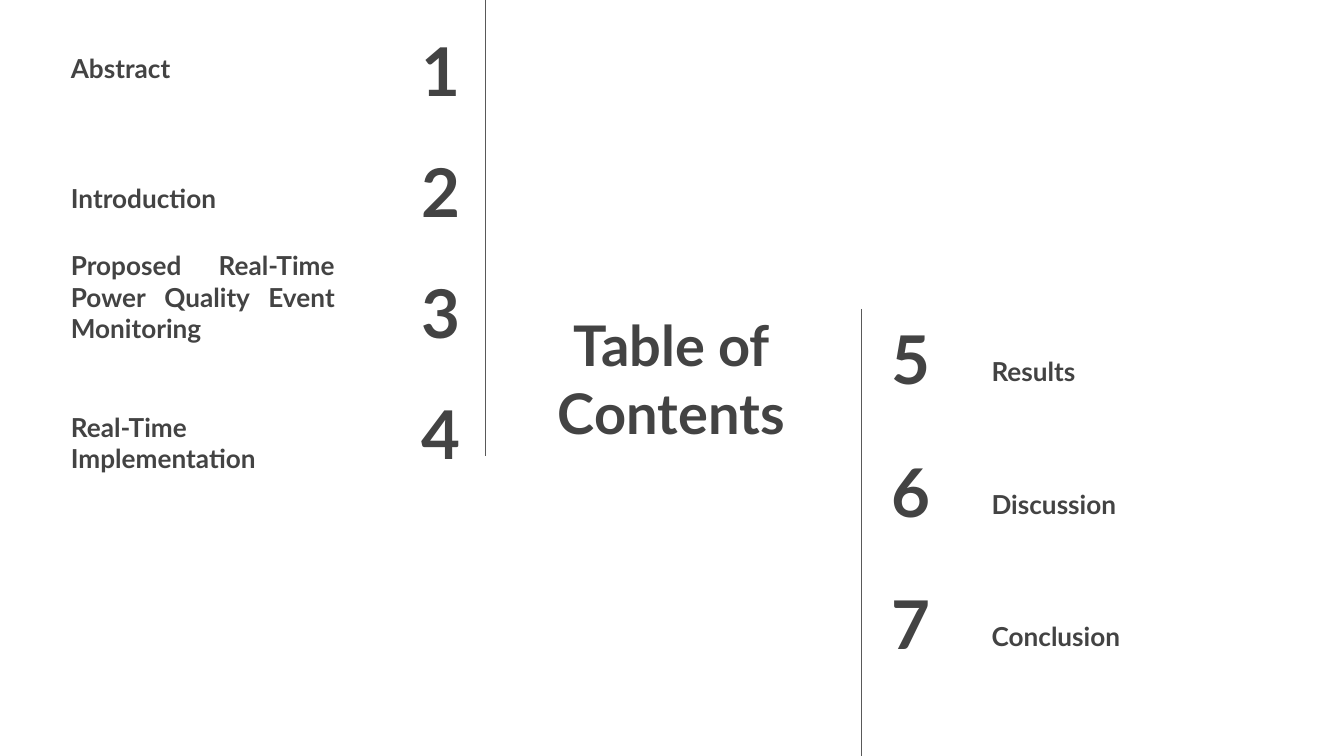
"""Build a table of contents slide with two numbered columns."""
from lxml import etree
from pptx import Presentation
from pptx import util as u
from pptx.dml.color import RGBColor
from pptx.enum import shapes, text
from pptx.oxml import ns

DARK = RGBColor(0x43, 0x43, 0x43)
GREY = RGBColor(0x59, 0x59, 0x59)
WIDTH, HEIGHT = 25.4, 14.29
ALIGN, ANCHOR = text.PP_ALIGN, text.MSO_ANCHOR


def write(tf, words, size=14, align=ALIGN.LEFT, anchor=ANCHOR.BOTTOM, font="Lato", color=DARK):
    tf.word_wrap = True
    tf.vertical_anchor = anchor
    tf.margin_left = tf.margin_right = tf.margin_top = tf.margin_bottom = u.Cm(0.25)
    p = tf.paragraphs[0]
    p.alignment = align
    r = p.add_run()
    r.text = words
    r.font.name = font
    r.font.size = u.Pt(size)
    r.font.bold = True
    r.font.color.rgb = color


class Deck:
    def __init__(self, s):
        self.s = s
        self.line_color = GREY
        self.line_width = u.Pt(0.75)

    def box(self, words, x, y, w, h, **style):
        sp = self.s.shapes.add_textbox(u.Cm(x), u.Cm(y), u.Cm(w), u.Cm(h))
        write(sp.text_frame, words, **style)

    def title(self, words, x, y, w, h):
        self.box(words, x, y, w, h, size=30, align=ALIGN.CENTER, anchor=ANCHOR.MIDDLE)

    def number(self, n, x, y, w, align):
        self.box(str(n), x, y, w, 1.6, size=36, align=align, anchor=ANCHOR.MIDDLE)

    def label(self, words, x, y, align=ALIGN.LEFT):
        self.box(words, x, y, 5.49, 1.6, align=align)

    def rule(self, x, top, bottom):
        sp = self.s.shapes.add_connector(
            shapes.MSO_CONNECTOR.STRAIGHT, u.Cm(x), u.Cm(top), u.Cm(x), u.Cm(bottom))
        sp.line.color.rgb = self.line_color
        sp.line.width = self.line_width
        etree.SubElement(sp._element.spPr, ns.qn("a:effectLst"))


def main():
    prs = Presentation()
    prs.slide_width, prs.slide_height = u.Cm(WIDTH), u.Cm(HEIGHT)
    deck = Deck(prs.slides.add_slide(prs.slide_layouts[6]))

    left = [
        ("Abstract", ALIGN.LEFT),
        ("Introduction", ALIGN.LEFT),
        ("Proposed Real‑Time Power Quality Event Monitoring", ALIGN.JUSTIFY),
        ("Real‑Time Implementation", ALIGN.LEFT),
    ]
    for i, (words, align) in enumerate(left):
        deck.label(words, 1.09, 0.23 + 2.46 * i, align)
        deck.number(i + 1, 5.89, 0.51 + 2.29 * i, 3.07, ALIGN.RIGHT)

    for i, words in enumerate(["Results", "Discussion", "Conclusion"]):
        y = 5.97 + 2.5 * i
        deck.number(len(left) + i + 1, 16.59, y, 2.97, ALIGN.LEFT)
        deck.label(words, 18.49, y)

    deck.title("Table of Contents", 9.4, 5.84, 6.58, 2.62)
    deck.rule(9.17, 0, 8.61)
    deck.rule(16.28, 5.84, HEIGHT)
    prs.save("out.pptx")


if __name__ == "__main__":
    main()
